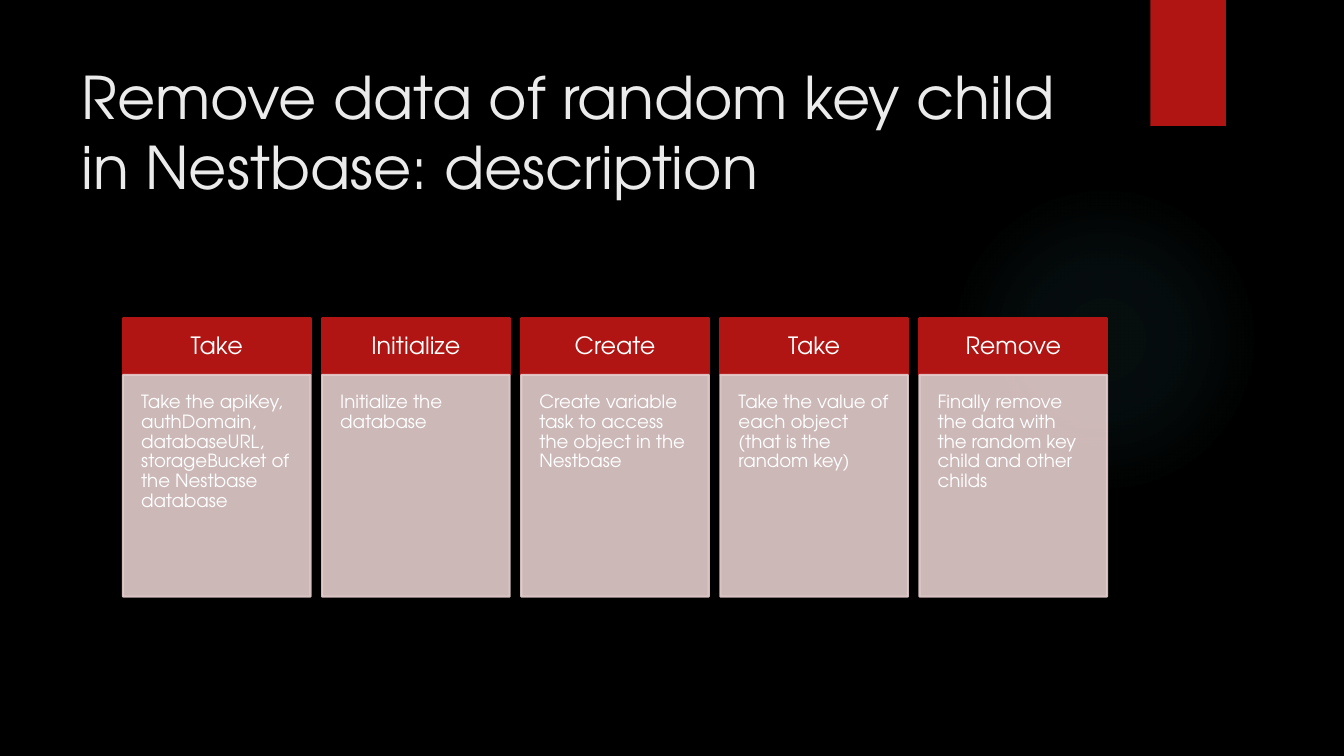
from pptx import Presentation
from pptx.dml.color import RGBColor
from pptx.enum import shapes, text
from pptx.oxml import parse_xml
from pptx.oxml import ns
from pptx.util import Inches, Pt

COLORS = {
    "background": "000000",
    "glow": "50B9C1",
    "accent": "B01513",
    "panel": "E4CCCC",
    "title": "EBEBEB",
    "label": "FFFFFF",
}
FONT = "TeX Gyre Adventor"

STEPS = [
    ("Take", "Take the apiKey, authDomain, databaseURL, storageBucket of the "
             "Nestbase database"),
    ("Initialize", "Initialize the database"),
    ("Create", "Create variable task to access the object in the Nestbase"),
    ("Take", "Take the value of each object (that is the random key)"),
    ("Remove", "Finally remove the data with the random key child and other childs"),
]


def rgb(name):
    return RGBColor.from_string(COLORS[name])


def add_block(page, kind, left, top, width, height, color=None):
    """Add a preset shape without shadow or outline."""
    block = page.shapes.add_shape(
        kind, Inches(left), Inches(top), Inches(width), Inches(height))
    block.shadow.inherit = False
    block.line.fill.background()
    if color:
        block.fill.solid()
        block.fill.fore_color.rgb = rgb(color)
    return block


def set_text(box, words, size, color, inset, align, anchor, spacing=1.0):
    frame = box.text_frame
    frame.word_wrap = True
    frame.vertical_anchor = anchor
    frame.margin_left = frame.margin_right = Inches(inset)
    frame.margin_top = frame.margin_bottom = Inches(inset)
    para = frame.paragraphs[0]
    para.text = words
    para.alignment = align
    para.line_spacing = spacing
    para.font.name = FONT
    para.font.size = Pt(size)
    para.font.color.rgb = rgb(color)


def outline(box, color):
    box.line.color.rgb = rgb(color)
    box.line.width = Pt(1.5)


def set_alpha(shape, percent):
    """Make the fill and the outline partly transparent."""
    for color in shape._element.spPr.iter(ns.qn("a:srgbClr")):
        color.append(parse_xml(
            f'<a:alpha {ns.nsdecls("a")} val="{percent * 1000}"/>'))


def add_glow(page, left, top, size):
    glow = add_block(page, shapes.MSO_SHAPE.OVAL, left, top, size, size)
    glow.fill.background()
    stops = "".join(
        f'<a:gs pos="{place * 1000}"><a:srgbClr val="{COLORS["glow"]}">'
        f'<a:alpha val="{alpha * 1000}"/></a:srgbClr></a:gs>'
        for place, alpha in ((0, 7), (36, 6), (69, 0), (100, 0)))
    gradient = parse_xml(
        f'<a:gradFill {ns.nsdecls("a")}><a:gsLst>{stops}</a:gsLst>'
        '<a:path path="circle"><a:fillToRect l="50000" t="50000" r="50000" '
        'b="50000"/></a:path></a:gradFill>')
    properties = glow._element.spPr
    properties.replace(properties.find(ns.qn("a:noFill")), gradient)


def add_title(page, left, top, width, height, words):
    box = page.shapes.add_textbox(
        Inches(left), Inches(top), Inches(width), Inches(height))
    set_text(box, words, 42, "title", 0.1,
             text.PP_ALIGN.LEFT, text.MSO_ANCHOR.TOP)


def add_step(page, left, top, width, height, heading, details):
    """Place a heading bar over a panel of details."""
    bar_height = 0.56
    bar = add_block(page, shapes.MSO_SHAPE.RECTANGLE,
                    left, top, width, bar_height, "accent")
    outline(bar, "accent")
    set_text(bar, heading, 17, "label", 0.15,
             text.PP_ALIGN.CENTER, text.MSO_ANCHOR.MIDDLE, 0.9)

    panel = add_block(page, shapes.MSO_SHAPE.RECTANGLE, left,
                      top + bar_height, width, height - bar_height, "panel")
    outline(panel, "panel")
    set_alpha(panel, 90)
    set_text(panel, details, 13, "label", 0.18,
             text.PP_ALIGN.LEFT, text.MSO_ANCHOR.TOP, 0.9)


def add_steps(page, left, top, width, height, steps):
    """Spread the steps evenly across the given box."""
    step_width = 1.86
    pitch = (width - step_width) / (len(steps) - 1)
    for index, (heading, details) in enumerate(steps):
        add_step(page, left + index * pitch, top, step_width, height,
                 heading, details)


def main():
    deck = Presentation()
    deck.slide_width, deck.slide_height = Inches(13.33), Inches(7.5)
    page = deck.slides.add_slide(deck.slide_layouts[6])
    page.background.fill.solid()
    page.background.fill.fore_color.rgb = rgb("background")

    # Backdrop
    add_glow(page, 9.41, 1.83, 3.08)
    add_block(page, shapes.MSO_SHAPE.RECTANGLE, 11.41, 0, 0.75, 1.25, "accent")

    # Content
    add_title(page, 0.71, 0.5, 10.29, 1.53,
              "Remove data of random key child in Nestbase: description")
    add_steps(page, 1.22, 3.16, 9.76, 2.76, STEPS)

    deck.save("out.pptx")


if __name__ == "__main__":
    main()
